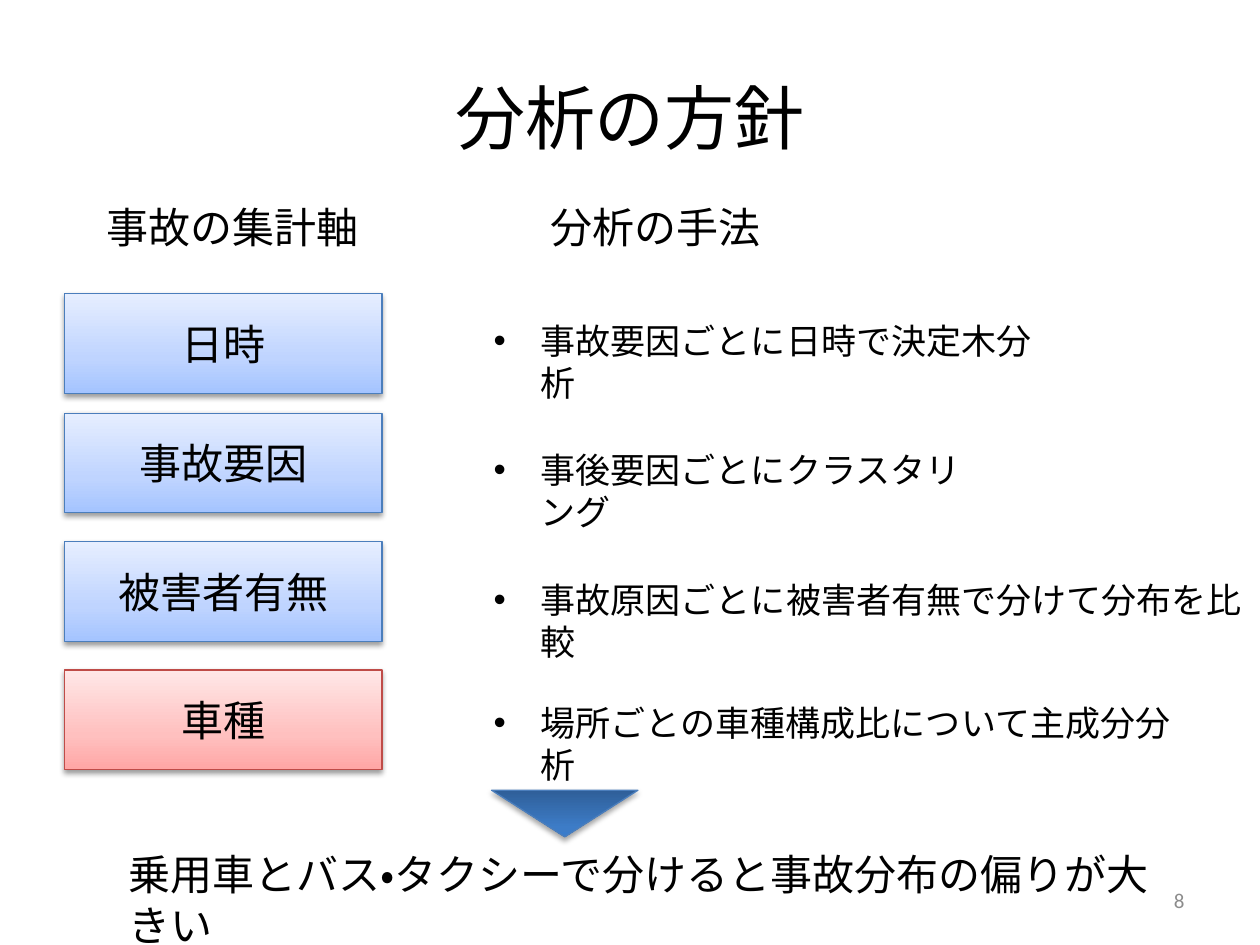
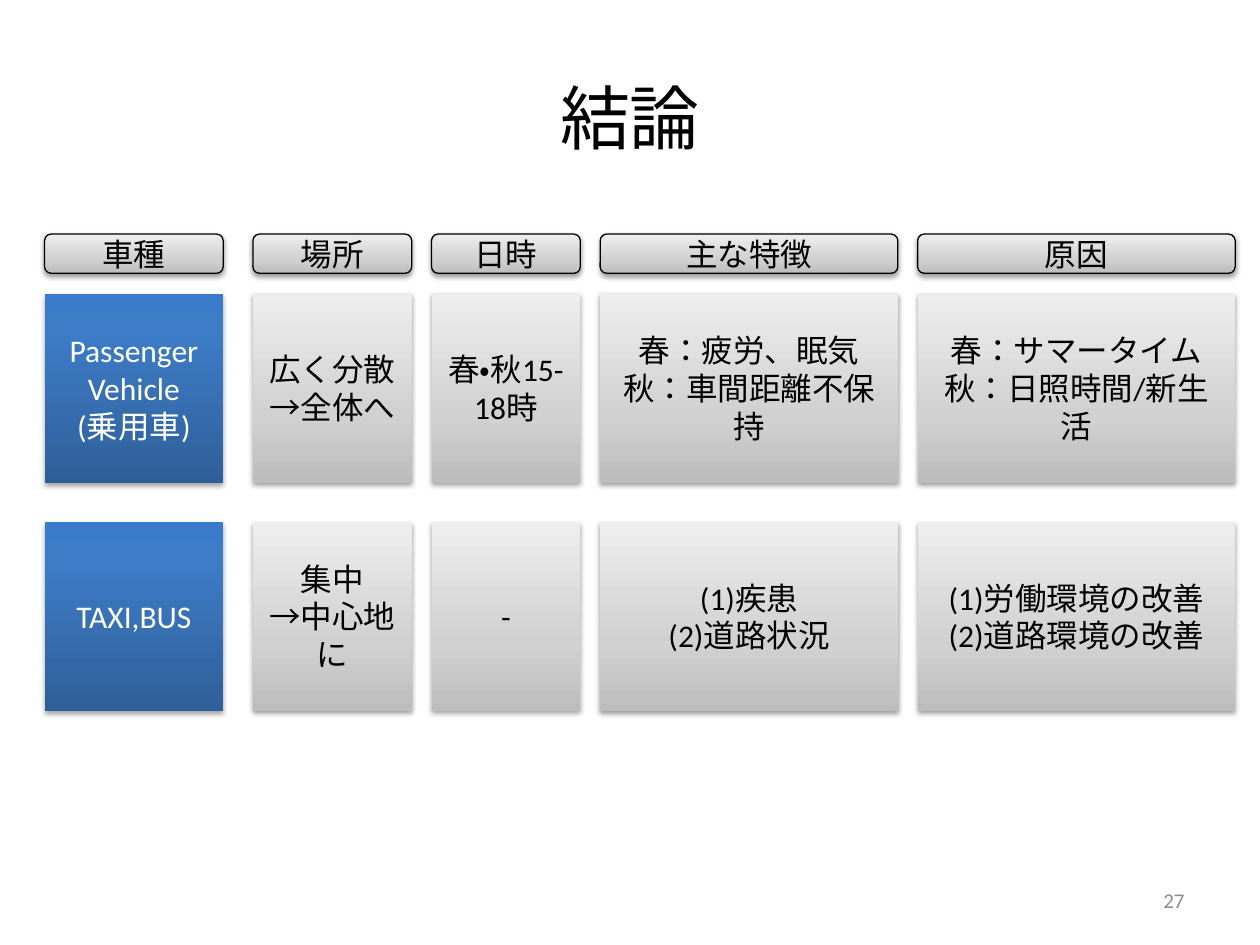
import pptx
import pptx.dml.color
import pptx.enum.lang
import pptx.enum.shapes
import pptx.enum.text
import pptx.oxml
import pptx.oxml.ns
import pptx.util

Cm = pptx.util.Cm
Pt = pptx.util.Pt
RGB = pptx.dml.color.RGBColor.from_string
SHAPE = pptx.enum.shapes.MSO_SHAPE
ALIGN = pptx.enum.text.PP_ALIGN
ANCHOR = pptx.enum.text.MSO_ANCHOR
NAMESPACE = pptx.oxml.ns.nsdecls("a")


class Theme:
    font = "Calibri"
    black, white, grey = "000000", "FFFFFF", "8C8C8C"
    blue_line, red_line = "4B7EBC", "BF4C48"
    pale_blue = [(0, "A4C4FF"), (35, "BFD4FF"), (100, "E6EEFF")]
    pale_red = [(0, "FFA6A5"), (35, "FFC0BF"), (100, "FFE7E7")]
    silver = [(0, "BDBDBD"), (35, "D1D1D1"), (100, "EEEEEE")]
    deep_blue = [(0, "2F5F99"), (80, "3D7CC7"), (100, "3A7CCB")]
    title, heading, bullet, cell, number = 40, 24, 20, 18, 12


def add_text(slide, text, frame, shape_type=None, size=Theme.heading, color=Theme.black,
             align=ALIGN.LEFT, anchor=ANCHOR.TOP, wrap=True, bullet=False):
    lengths = [Cm(value) for value in frame]
    if shape_type is None:
        shape = slide.shapes.add_textbox(*lengths)
    else:
        shape = slide.shapes.add_shape(shape_type, *lengths)
    text_frame = shape.text_frame
    text_frame.word_wrap = wrap
    text_frame.vertical_anchor = anchor
    for index, line in enumerate(text.split("\n") if text else []):
        paragraph = text_frame.add_paragraph() if index else text_frame.paragraphs[0]
        paragraph.alignment = align
        if bullet:
            properties = paragraph._p.get_or_add_pPr()
            properties.set("marL", str(Cm(0.95)))
            properties.set("indent", str(-Cm(0.95)))
            properties.append(pptx.oxml.parse_xml(f'<a:buFont {NAMESPACE} typeface="Arial"/>'))
            properties.append(pptx.oxml.parse_xml(f'<a:buChar {NAMESPACE} char="•"/>'))
        run = paragraph.add_run()
        run.text = line
        run.font.name = Theme.font
        run.font.size = Pt(size)
        run.font.color.rgb = RGB(color)
        run.font.language_id = pptx.enum.lang.MSO_LANGUAGE_ID.JAPANESE
    return shape


def add_box(slide, text, frame, gradient, line=None, shape_type=SHAPE.RECTANGLE, **text_format):
    shape = add_text(slide, text, frame, shape_type, align=ALIGN.CENTER,
                     anchor=ANCHOR.MIDDLE, **text_format)
    stops = "".join(f'<a:gs pos="{position * 1000}"><a:srgbClr val="{color}"/></a:gs>'
                    for position, color in gradient)
    shape._element.spPr.append(pptx.oxml.parse_xml(
        f'<a:gradFill {NAMESPACE} rotWithShape="1"><a:gsLst>{stops}</a:gsLst>'
        '<a:lin ang="16200000" scaled="0"/></a:gradFill>'))
    if line:
        shape.line.color.rgb = RGB(line)
        shape.line.width = Pt(0.75)
    else:
        shape.line.fill.background()
    distance, alpha = (1.8, 35) if gradient is Theme.deep_blue else (1.6, 38)
    shape._element.spPr.append(pptx.oxml.parse_xml(
        f'<a:effectLst {NAMESPACE}><a:outerShdw blurRad="{Pt(3.1)}" dist="{Pt(distance)}" '
        f'dir="5400000" rotWithShape="0"><a:srgbClr val="{Theme.black}">'
        f'<a:alpha val="{alpha * 1000}"/></a:srgbClr></a:outerShdw></a:effectLst>'))
    return shape


presentation = pptx.Presentation()
presentation.slide_width = Cm(25.4)
presentation.slide_height = Cm(19.05)

slides = []
for title, number in [("分析の方針", "8"), ("結論", "27")]:
    slide = presentation.slides.add_slide(presentation.slide_layouts[6])
    add_text(slide, title, (1.27, 0.76, 22.86, 3.18), size=Theme.title,
             align=ALIGN.CENTER, anchor=ANCHOR.MIDDLE)
    add_text(slide, number, (18.2, 17.65, 5.93, 1.01), size=Theme.number, color=Theme.grey,
             align=ALIGN.RIGHT, anchor=ANCHOR.MIDDLE)
    slides.append(slide)
policy_slide, conclusion_slide = slides

add_text(policy_slide, "事故の集計軸", (1.9, 3.94, 5.64, 1.27), wrap=False)
add_text(policy_slide, "分析の手法", (10.85, 3.94, 4.78, 1.27), wrap=False)

axes = [
    ("日時", 5.92, "事故要因ごとに日時で決定木分析", 6.32, 11.81),
    ("事故要因", 8.33, "事後要因ごとにクラスタリング", 8.92, 10.34),
    ("被害者有無", 10.92, "事故原因ごとに被害者有無で分けて分布を比較", 11.53, 15.88),
    ("車種", 13.51, "場所ごとの車種構成比について主成分分析", 14.02, 14.58),
]
for axis, axis_top, method, method_top, method_width in axes:
    highlighted = axis == "車種"
    add_box(policy_slide, axis, (1.3, axis_top, 6.4, 2.01),
            Theme.pale_red if highlighted else Theme.pale_blue,
            Theme.red_line if highlighted else Theme.blue_line)
    add_text(policy_slide, method, (9.7, method_top, method_width, 1.11),
             size=Theme.bullet, bullet=True)

arrow = add_box(policy_slide, "", (9.91, 15.93, 2.95, 0.94), Theme.deep_blue,
                Theme.blue_line, SHAPE.ISOSCELES_TRIANGLE)
arrow.rotation = 180
add_text(policy_slide, "乗用車とバス・タクシーで分けると事故分布の偏りが大きい",
         (2.34, 16.99, 21.56, 1.27))

columns = [
    ("車種", 3.6, 0.6, ["Passenger Vehicle\n(乗用車)", "TAXI,BUS"]),
    ("場所", 3.2, 0.4, ["広く分散\n→全体へ", "集中\n→中心地に"]),
    ("日時", 3.0, 0.4, ["春・秋15-18時", "-"]),
    ("主な特徴", 6.0, 0.4, ["春：疲労、眠気\n秋：車間距離不保持", "(1)疾患\n(2)道路状況"]),
    ("原因", 6.4, 0.4, ["春：サマータイム\n秋：日照時間/新生活",
                      "(1)労働環境の改善\n(2)道路環境の改善"]),
]
left = 0.9
for header, width, gap, cells in columns:
    add_box(conclusion_slide, header, (left, 4.72, width, 0.79), Theme.silver, Theme.black,
            SHAPE.ROUNDED_RECTANGLE, size=Theme.cell)
    is_vehicle = header == "車種"
    for row, cell in enumerate(cells):
        add_box(conclusion_slide, cell, (left, 5.92 + 4.6 * row, width, 3.81),
                Theme.deep_blue if is_vehicle else Theme.silver, size=Theme.cell,
                color=Theme.white if is_vehicle else Theme.black)
    left += width + gap

presentation.save("out.pptx")
